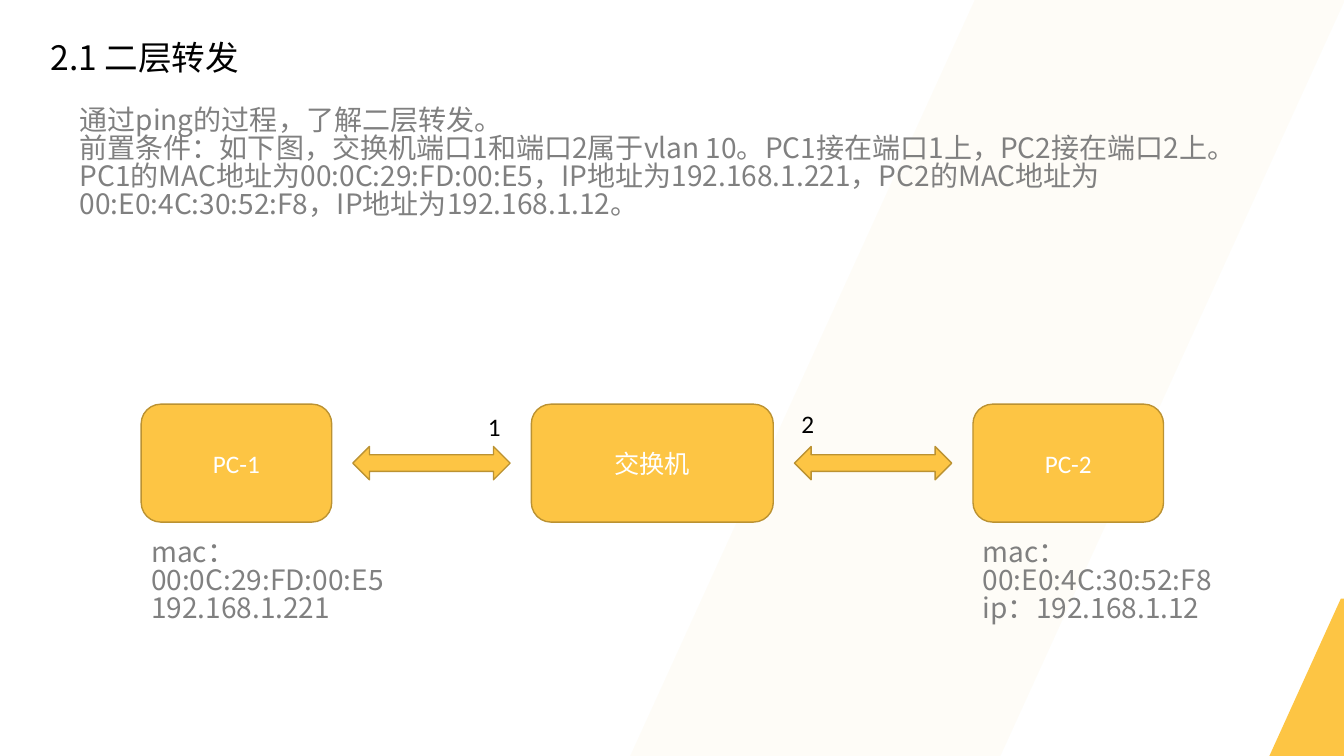
from lxml.etree import SubElement
from pptx import Presentation
from pptx.dml.color import RGBColor
from pptx.enum.shapes import MSO_SHAPE
from pptx.enum.text import MSO_ANCHOR, MSO_AUTO_SIZE, PP_ALIGN
from pptx.oxml.ns import qn
from pptx.util import Inches, Pt

GOLD, DARK_GOLD, GRAY, BLACK, WHITE = "FDC544", "BB9232", "808080", "000000", "FFFFFF"
CHINESE_FONT, LATIN_FONT = "Noto Sans CJK SC", "Calibri"


def color(hex_string):
    return RGBColor.from_string(hex_string)


class SlideBuilder:
    def __init__(self, slide):
        self.slide = slide

    def place(self, shape, box):
        shape.left, shape.top, shape.width, shape.height = map(Inches, box)

    def fill_text(self, frame, lines, size, hex_color, font, align=PP_ALIGN.LEFT,
                  anchor=MSO_ANCHOR.TOP, line_points=None, wrap=True):
        frame.word_wrap = wrap
        frame.auto_size = MSO_AUTO_SIZE.NONE
        frame.vertical_anchor = anchor
        for index, line in enumerate(lines):
            paragraph = frame.paragraphs[0] if index == 0 else frame.add_paragraph()
            paragraph.alignment = align
            paragraph.space_before = Pt(0)
            if line_points:
                paragraph.line_spacing = Pt(line_points)
            run = paragraph.add_run()
            run.text = line
            run.font.size = Pt(size)
            run.font.name = font
            run.font.color.rgb = color(hex_color)
            east_asian = SubElement(run.font._element, qn("a:ea"))
            east_asian.set("typeface", CHINESE_FONT)

    def title(self, text, box):
        shape = self.slide.shapes.title
        self.place(shape, box)
        self.fill_text(shape.text_frame, [text], 24, BLACK, CHINESE_FONT,
                       anchor=MSO_ANCHOR.MIDDLE)

    def body(self, lines, box):
        shape = self.slide.placeholders[1]
        self.place(shape, box)
        self.fill_text(shape.text_frame, lines, 20, GRAY, CHINESE_FONT, line_points=20)
        for paragraph in shape.text_frame.paragraphs:
            properties = paragraph._p.get_or_add_pPr()
            properties.set("marL", "0")
            properties.set("indent", "0")
            SubElement(properties, qn("a:buNone"))

    def shape(self, kind, box, line=DARK_GOLD):
        shape = self.slide.shapes.add_shape(kind, *map(Inches, box))
        shape.shadow.inherit = False
        shape.fill.solid()
        shape.fill.fore_color.rgb = color(GOLD)
        if line:
            shape.line.color.rgb = color(line)
            shape.line.width = Pt(1)
        else:
            shape.line.fill.background()
        return shape

    def band(self, box, opacity=None):
        """Slanted decoration behind the text."""
        band = self.shape(MSO_SHAPE.PARALLELOGRAM, box, line=None)
        band.adjustments[0] = 0.482
        if opacity:
            fill = band.element.spPr.find(qn("a:solidFill"))
            SubElement(fill[0], qn("a:alpha")).set("val", str(opacity * 1000))
        self.slide.shapes.title.element.addprevious(band.element)

    def device(self, name, box):
        device = self.shape(MSO_SHAPE.ROUNDED_RECTANGLE, box)
        self.fill_text(device.text_frame, [name], 18, WHITE, LATIN_FONT,
                       PP_ALIGN.CENTER, MSO_ANCHOR.MIDDLE)

    def label(self, lines, box, **style):
        label = self.slide.shapes.add_textbox(*map(Inches, box))
        self.fill_text(label.text_frame, lines, **style)


def main():
    presentation = Presentation()
    presentation.slide_width, presentation.slide_height = Inches(13.33), Inches(7.5)
    builder = SlideBuilder(presentation.slides.add_slide(presentation.slide_layouts[1]))

    # Background bands
    builder.band((6.25, 0, 7.09, 7.5), opacity=4)
    builder.band((12.59, 5.94, 1.47, 1.56))

    # Heading and preconditions
    builder.title("2.1 二层转发", (0.4, 0.32, 7.28, 0.5))
    builder.body([
        "通过ping的过程，了解二层转发。",
        "前置条件：如下图，交换机端口1和端口2属于vlan 10。PC1接在端口1上，PC2接在端口2上。"
        "PC1的MAC地址为00:0C:29:FD:00:E5，IP地址为192.168.1.221，"
        "PC2的MAC地址为00:E0:4C:30:52:F8，IP地址为192.168.1.12。",
    ], (0.69, 1.02, 12.1, 1.5))

    # Devices
    for name, left, width in (("PC-1", 1.4, 1.89), ("交换机", 5.27, 2.4), ("PC-2", 9.65, 1.89)):
        builder.device(name, (left, 4.01, width, 1.17))

    # Links and switch ports
    for left in (3.5, 7.88):
        builder.shape(MSO_SHAPE.LEFT_RIGHT_ARROW, (left, 4.43, 1.56, 0.33))
    for port, left, top in (("1", 4.74, 4.03), ("2", 7.85, 4)):
        builder.label([port], (left, top, 0.33, 0.4), size=18, hex_color=BLACK,
                      font=LATIN_FONT, wrap=False)

    # Addresses under the computers
    for left, width, addresses in (
        (1.4, 3.68, ["mac：", "00:0C:29:FD:00:E5", "192.168.1.221"]),
        (9.65, 2.57, ["mac：", "00:E0:4C:30:52:F8", "ip：192.168.1.12"]),
    ):
        builder.label(addresses, (left, 5.31, width, 1.22), size=20, hex_color=GRAY,
                      font=CHINESE_FONT, line_points=20)

    presentation.save("out.pptx")


if __name__ == "__main__":
    main()
